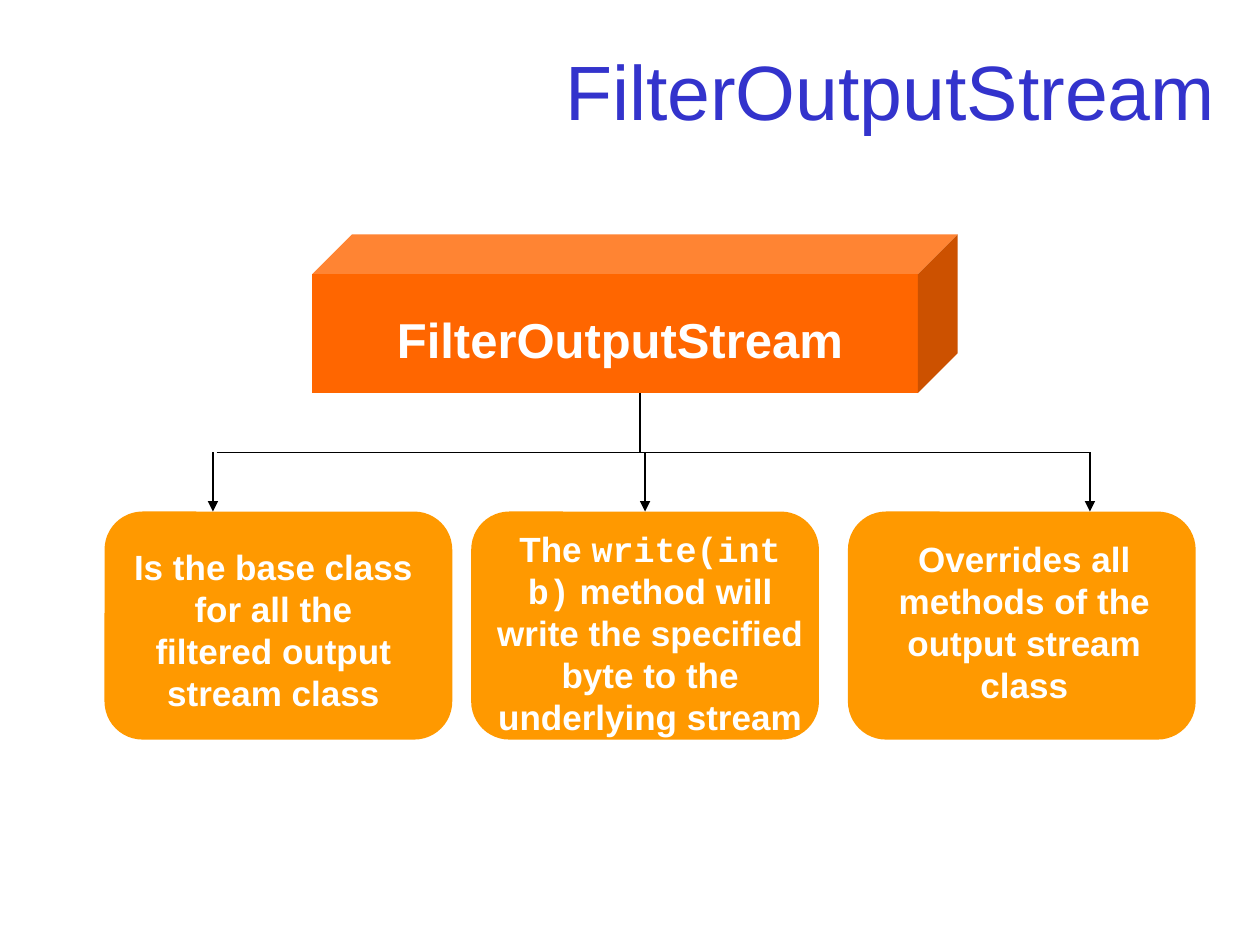
from lxml import etree
from pptx import Presentation
from pptx.dml.color import RGBColor
from pptx.enum.shapes import MSO_CONNECTOR, MSO_SHAPE
from pptx.enum.text import MSO_ANCHOR, PP_ALIGN
from pptx.oxml.ns import qn
from pptx.util import Inches, Pt

CUBE, ROUND = MSO_SHAPE.CUBE, MSO_SHAPE.ROUNDED_RECTANGLE
STRAIGHT = MSO_CONNECTOR.STRAIGHT
TOP, MIDDLE = MSO_ANCHOR.TOP, MSO_ANCHOR.MIDDLE
CENTER, RIGHT = PP_ALIGN.CENTER, PP_ALIGN.RIGHT
COLORS = {"title": "3333CC", "cube": "FF6600", "card": "FF9900",
          "text": "FFFFFF", "line": "000000"}
COLORS = {name: RGBColor.from_string(code) for name, code in COLORS.items()}

deck = Presentation()
deck.slide_width, deck.slide_height = Inches(10), Inches(7.5)
slide = deck.slides.add_slide(deck.slide_layouts[6])
shapes = slide.shapes


def add_text(text, box, size=20, color="text", bold=True, align=CENTER,
             anchor=TOP, fill=None):
    label = shapes.add_textbox(*map(Inches, box))
    if fill:
        label.fill.solid()
        label.fill.fore_color.rgb = COLORS[fill]
    frame = label.text_frame
    frame.word_wrap = True
    frame.vertical_anchor = anchor
    line = frame.paragraphs[0]
    line.alignment = align
    for part, font in text:
        run = line.add_run()
        run.text = part
        run.font.name = font
        run.font.size = Pt(size)
        run.font.bold = bold
        run.font.color.rgb = COLORS[color]


def add_block(kind, box, fill, adjust):
    block = shapes.add_shape(kind, *map(Inches, box))
    block.shadow.inherit = False
    block.adjustments[0] = adjust
    block.fill.solid()
    block.fill.fore_color.rgb = COLORS[fill]
    block.line.fill.background()
    return block


add_text([("FilterOutputStream", "Arial")], (0.75, 0.28, 9, 0.87), size=44,
         color="title", bold=False, align=RIGHT, anchor=MIDDLE)
add_block(CUBE, (2.48, 1.86, 5.12, 1.26), "cube", 0.25)
add_text([("FilterOutputStream", "Arial")], (3.03, 2.41, 3.78, 0.57),
         size=28, fill="cube")

cards = [
    (0.83, (0.95, 4.28, 2.44, 1.44), "card",
     [("Is the base class for all the filtered output stream class", "Arial")]),
    (3.74, (3.82, 4.14, 2.68, 1.77), None,
     [("The ", "Arial"), ("write(int b)", "Courier New"),
      (" method will write the specified byte to the underlying stream",
       "Arial")]),
    (6.73, (6.81, 4.22, 2.64, 1.44), "card",
     [("Overrides all methods of the output stream class", "Arial")]),
]
blocks = []
for left, box, fill, text in cards:
    blocks.append(add_block(ROUND, (left, 4.06, 2.76, 1.81), "card", 0.167))
    add_text(text, box, fill=fill)

bar, top = 3.59, 4.06
links = [
    (5.08, 3.12, 5.08, bar, False, None),
    (1.72, bar, 8.65, bar, False, None),
    (1.69, bar, 1.69, top, True, None),
    (5.12, bar, 5.12, top, True, blocks[1]),
    (8.65, bar, 8.65, top, True, None),
]
for *ends, arrow, goal in links:
    link = shapes.add_connector(STRAIGHT, *map(Inches, ends))
    link.line.color.rgb = COLORS["line"]
    link.line.width = Pt(0.75)
    if arrow:
        tail = etree.SubElement(link.line._get_or_add_ln(), qn("a:tailEnd"))
        tail.set("type", "triangle")
    etree.SubElement(link._element.spPr, qn("a:effectLst"))
    if goal is not None:
        link.end_connect(goal, 0)

deck.save("out.pptx")
